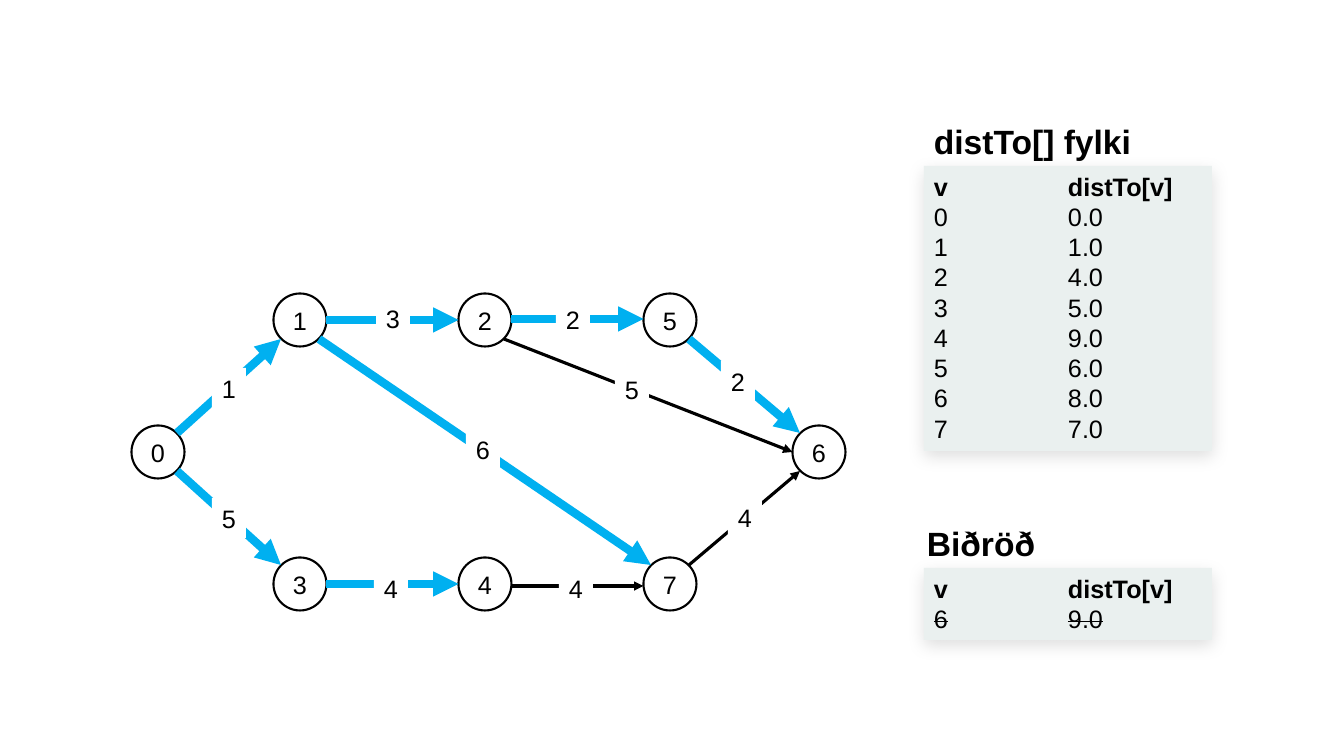
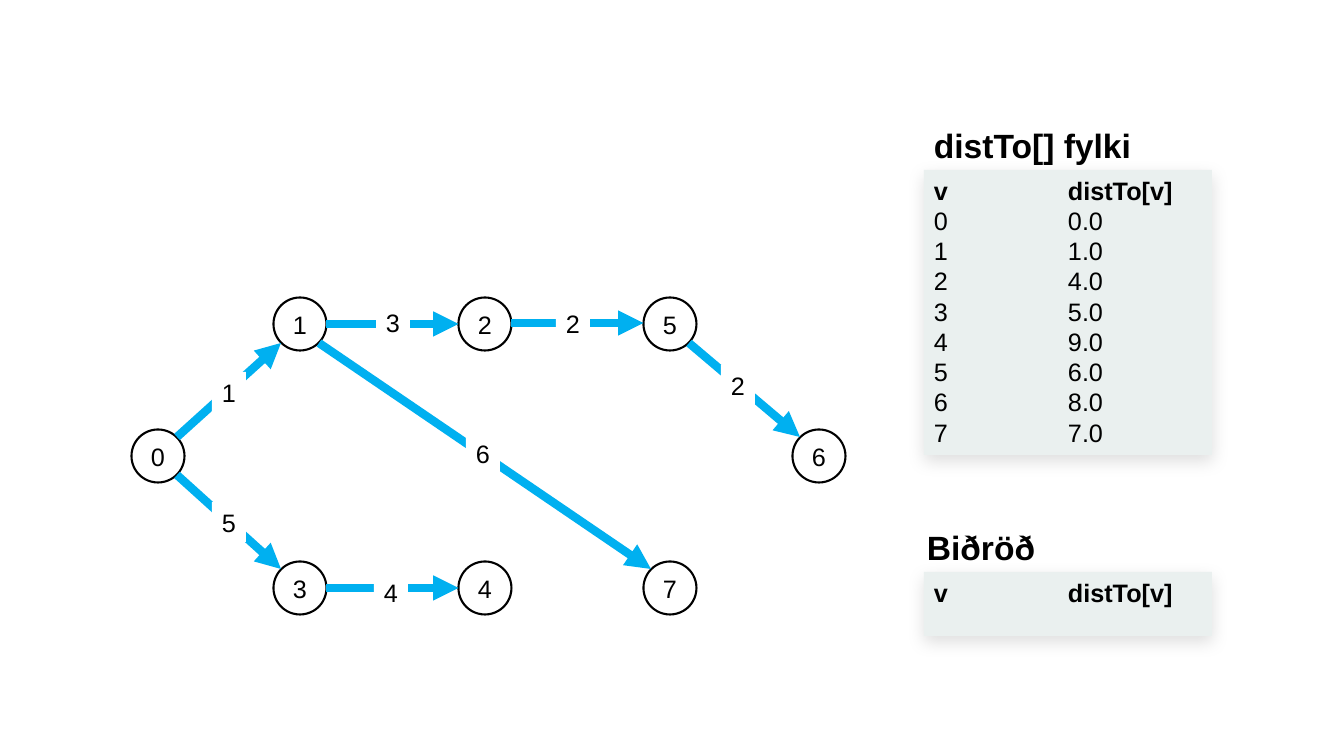
from dataclasses import dataclass

from lxml import etree
from pptx import Presentation
from pptx.dml.color import RGBColor
from pptx.enum import shapes, text
from pptx.oxml.ns import qn
from pptx.util import Pt

SCALE = 914400 / 100.8


@dataclass(frozen=True)
class Theme:
    font: str = "Arial"
    ink: str = "000000"
    paper: str = "FFFFFF"
    panel: str = "EAF0EF"
    tree: str = "00B0F0"
    body: int = 18
    head: int = 24
    lead: float = 1.2  # line height relative to type size


THEME = Theme()
LEFT, MID = text.PP_ALIGN.LEFT, text.PP_ALIGN.CENTER

# Node centres, relative to the graph box
NODES = {0: (27, 159), 1: (169, 27), 3: (169, 291), 2: (354, 27),
         4: (354, 291), 5: (539, 27), 7: (539, 291), 6: (688, 159)}
SIZE, DIAG = 53, 19

# start, end, weight, label corner, in tree, vertical shift
EDGES = [(0, 1, 1, (81, 75), True, 0),
         (1, 2, 3, (245, 5), True, 0),
         (2, 5, 2, (425, 6), True, -1),
         (5, 6, 2, (590, 68), True, 0),
         (0, 3, 5, (81, 205), True, 0),
         (3, 4, 4, (243, 275), True, 0),
         (4, 7, 4, (428, 275), False, 2),
         (7, 6, 4, (597, 204), False, 0),
         (1, 7, 6, (335, 136), True, 0),
         (2, 6, 5, (484, 76), False, 0)]
DISTS = ["0.0", "1.0", "4.0", "5.0", "9.0", "6.0", "8.0", "7.0"]


def px(*vals):
    return [round(v * SCALE) for v in vals]


def rgb(code):
    return RGBColor.from_string(code)


def write(shape, lines, size=THEME.body, bold=(), align=LEFT, wrap=False):
    """Fill a shape with one paragraph a line; bold holds line numbers."""
    frame = shape.text_frame
    frame.word_wrap = wrap
    frame.text = "\n".join(lines)
    for num, para in enumerate(frame.paragraphs):
        para.alignment = align
        para.line_spacing = Pt(size * THEME.lead)
        para.font.name = THEME.font
        para.font.size = Pt(size)
        para.font.bold = num in bold
        para.font.color.rgb = rgb(THEME.ink)
    return frame


def block(slide, kind, box, fill, line=None):
    shape = slide.shapes.add_shape(kind, *px(*box))
    shape.shadow.inherit = False
    shape.fill.solid()
    shape.fill.fore_color.rgb = rgb(fill)
    if line:
        shape.line.color.rgb = rgb(line)
        shape.line.width = Pt(1.5)
    else:
        shape.line.fill.background()
    return shape


def shade(shape):
    """Give a panel its soft shadow."""
    glow = etree.SubElement(
        shape._element.spPr.find(qn("a:effectLst")), qn("a:outerShdw"),
        blurRad=str(Pt(12.5)), dist=str(Pt(4)), dir="5400000",
        algn="t", rotWithShape="0")
    tint = etree.SubElement(glow, qn("a:srgbClr"), val=THEME.ink)
    etree.SubElement(tint, qn("a:alpha"), val="13000")


def panel(slide, box, title, shift, rows, struck=False):
    """Heading above a two-column list."""
    x, y, w, h = box
    head = slide.shapes.add_textbox(*px(x + shift, y - 50, 220, 50))
    write(head, [title], THEME.head, bold=(0,))
    body = block(slide, shapes.MSO_SHAPE.RECTANGLE, box, THEME.panel)
    shade(body)
    cols = zip(("v", "distTo[v]"), *rows)
    frame = write(body, [cell for col in cols for cell in col],
                  bold=(0, len(rows) + 1), wrap=True)
    frame.vertical_anchor = text.MSO_ANCHOR.TOP
    frame._txBody.bodyPr.set("numCol", "2")
    if struck:
        for num, para in enumerate(frame.paragraphs):
            if num % (len(rows) + 1):
                para.runs[0]._r.get_or_add_rPr().set("strike", "sngStrike")


def arrow(slide, start, end, tree):
    line = slide.shapes.add_connector(
        shapes.MSO_CONNECTOR.STRAIGHT, *px(*start, *end))
    line.line.color.rgb = rgb(THEME.tree if tree else THEME.ink)
    line.line.width = Pt(6 if tree else 2.25)
    etree.SubElement(line.line._get_or_add_ln(), qn("a:tailEnd"),
                     type="triangle")
    etree.SubElement(line._element.spPr, qn("a:effectLst"))


def ports(a, b):
    """Points on the rims of two nodes where their edge starts and ends."""
    (ax, ay), (bx, by) = NODES[a], NODES[b]
    if ay == by:
        return (ax + SIZE / 2, ay), (bx - SIZE / 2, by)
    turn = DIAG if by > ay else -DIAG
    start = ax + DIAG, ay + turn
    if (a, b) == (2, 6):
        return start, (bx - SIZE / 2, by)
    return start, (bx - DIAG, by - turn)


def graph(slide, x, y, full):
    # Nodes
    for name, (cx, cy) in NODES.items():
        box = x + cx - SIZE / 2, y + cy - SIZE / 2, SIZE, SIZE
        node = block(slide, shapes.MSO_SHAPE.OVAL, box, THEME.paper, THEME.ink)
        frame = write(node, [str(name)], align=MID)
        frame.vertical_anchor = text.MSO_ANCHOR.MIDDLE
    # Arrows, then the weights over them
    edges = [edge for edge in EDGES if full or edge[4]]
    for a, b, _, _, tree, shift in edges:
        start, end = [(x + ex, y + ey + shift) for ex, ey in ports(a, b)]
        arrow(slide, start, end, tree)
    for _, _, cost, (lx, ly), _, _ in edges:
        tag = block(slide, shapes.MSO_SHAPE.RECTANGLE,
                    (x + lx, y + ly, 34, 40), THEME.paper)
        write(tag, [str(cost)]).vertical_anchor = text.MSO_ANCHOR.TOP


def step(deck, top, queue, high, full):
    """One step of the search: graph, distances and queue."""
    slide = deck.slides.add_slide(deck.slide_layouts[6])
    dists = [(str(v), dist) for v, dist in enumerate(DISTS)]
    panel(slide, (924, top, 288, 285), "distTo[] fylki", 0, dists)
    panel(slide, (924, top + 402, 288, high), "Biðröð", -7, queue, True)
    graph(slide, 131, top + 127, full)


deck = Presentation()
deck.slide_width, deck.slide_height = px(1344, 756)
step(deck, 166, [("6", "9.0")], 72, True)
step(deck, 170, [], 64, False)
deck.save("out.pptx")
